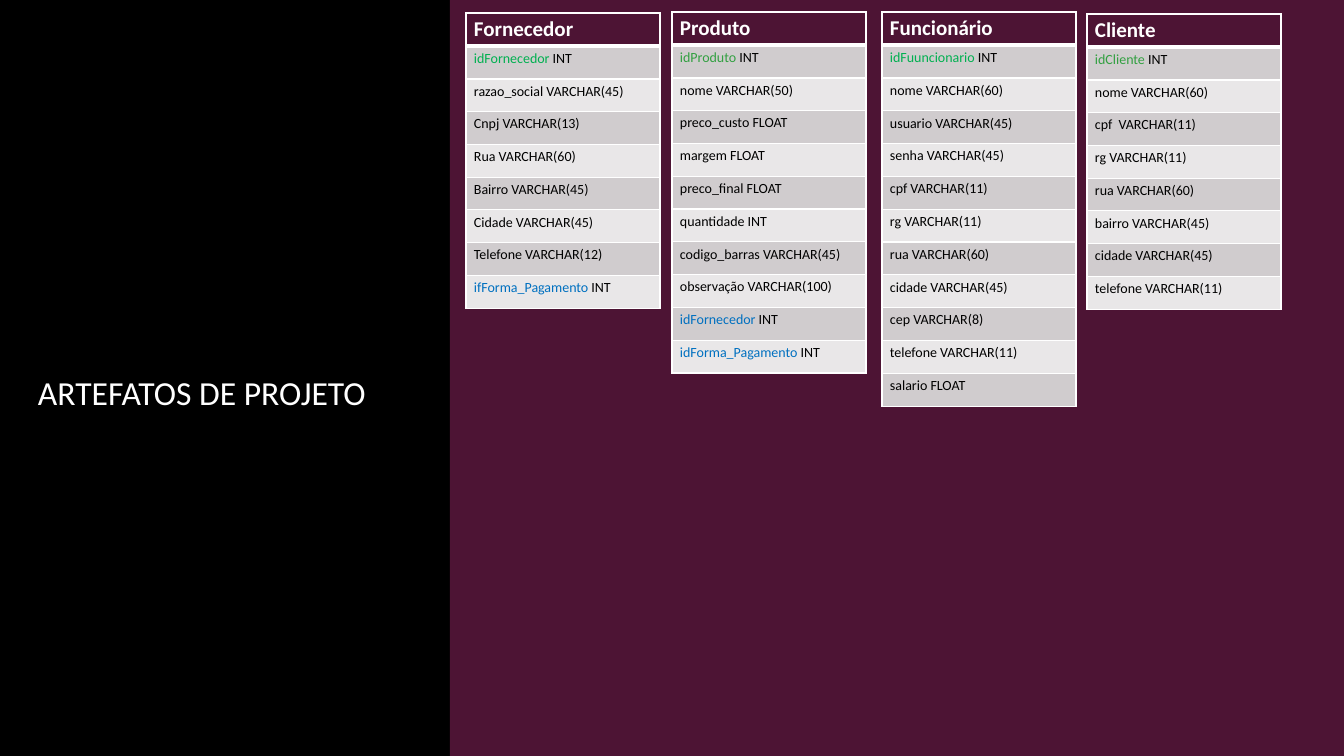
from lxml.etree import SubElement
from pptx import Presentation
from pptx.dml.color import RGBColor
from pptx.enum.shapes import MSO_SHAPE as Preset
from pptx.enum.text import MSO_ANCHOR as Anchor
from pptx.oxml.ns import qn
from pptx.util import Pt

TITLE = "ARTEFATOS DE PROJETO"
FONT = "Calibri"
COLORS = {
    "side": "000000",
    "main": "4D1434",
    "white": "FFFFFF",
    "text": "000000",
    "dark_band": "D0CCCE",
    "light_band": "E9E7E8",
    "green": "00B050",
    "olive": "32A041",
    "foreign": "0070C0",
}
PANELS = [("side", 0, 450), ("main", 450, 894)]
FOREIGN_KEYS = {"idFornecedor", "idForma_Pagamento", "ifForma_Pagamento"}
ENTITIES = [
    ("Produto", (672, 12, 361), "olive", [
        "idProduto INT", "nome VARCHAR(50)", "preco_custo FLOAT", "margem FLOAT",
        "preco_final FLOAT", "quantidade INT", "codigo_barras VARCHAR(45)",
        "observação VARCHAR(100)", "idFornecedor INT", "idForma_Pagamento INT",
    ]),
    ("Cliente", (1087, 14, 295), "olive", [
        "idCliente INT", "nome VARCHAR(60)", "cpf  VARCHAR(11)", "rg VARCHAR(11)",
        "rua VARCHAR(60)", "bairro VARCHAR(45)", "cidade VARCHAR(45)",
        "telefone VARCHAR(11)",
    ]),
    ("Fornecedor", (466, 13, 295), "green", [
        "idFornecedor INT", "razao_social VARCHAR(45)", "Cnpj VARCHAR(13)",
        "Rua VARCHAR(60)", "Bairro VARCHAR(45)", "Cidade VARCHAR(45)",
        "Telefone VARCHAR(12)", "ifForma_Pagamento INT",
    ]),
    ("Funcionário", (882, 12, 394), "green", [
        "idFuuncionario INT", "nome VARCHAR(60)", "usuario VARCHAR(45)",
        "senha VARCHAR(45)", "cpf VARCHAR(11)", "rg VARCHAR(11)",
        "rua VARCHAR(60)", "cidade VARCHAR(45)", "cep VARCHAR(8)",
        "telefone VARCHAR(11)", "salario FLOAT",
    ]),
]
SLIDE_WIDTH, SLIDE_HEIGHT = 1344, 756
TABLE_WIDTH = 194


def px(value):
    return round(value * 914400 / 100.8)


def rgb(name):
    return RGBColor.from_string(COLORS[name])


def add_panel(slide, color, left, width):
    panel = slide.shapes.add_shape(
        Preset.RECTANGLE, px(left), 0, px(width), px(SLIDE_HEIGHT))
    panel.shadow.inherit = False
    panel.fill.solid()
    panel.fill.fore_color.rgb = rgb(color)
    panel.line.fill.background()


def add_title(slide):
    frame = slide.shapes.add_textbox(px(28), px(330), px(394), px(87)).text_frame
    frame.word_wrap = True
    frame.vertical_anchor = Anchor.BOTTOM
    frame.text = TITLE
    style(frame.paragraphs[0], 24, "white")


def style(paragraph, size, color, bold=False):
    font = paragraph.font
    font.name, font.size, font.bold = FONT, Pt(size), bold
    font.color.rgb = rgb(color)


def format_cell(cell, fill, top, bottom):
    cell.margin_left = cell.margin_right = px(8)
    cell.margin_top = cell.margin_bottom = px(4)
    properties = cell._tc.get_or_add_tcPr()
    for side, points in (("L", 1), ("R", 1), ("T", top), ("B", bottom)):
        border = SubElement(properties, qn(f"a:ln{side}"), w=str(Pt(points)))
        solid = SubElement(border, qn("a:solidFill"))
        SubElement(solid, qn("a:srgbClr"), val=COLORS["white"])
    cell.fill.solid()
    cell.fill.fore_color.rgb = rgb(fill)


def add_entity(slide, name, place, key_color, fields):
    left, top, height = place
    table = slide.shapes.add_table(
        len(fields) + 1, 1, px(left), px(top), px(TABLE_WIDTH), px(height)).table
    table.first_row = table.horz_banding = False

    header = table.cell(0, 0)
    format_cell(header, "main", 1, 3)
    header.text = name
    style(header.text_frame.paragraphs[0], 15, "white", True)

    for row, field in enumerate(fields, 1):
        cell = table.cell(row, 0)
        format_cell(cell, "dark_band" if row % 2 else "light_band", 3 if row == 1 else 1, 1)
        paragraph = cell.text_frame.paragraphs[0]
        style(paragraph, 10, "text")
        column, gap, kind = field.partition(" ")
        if row == 1 or column in FOREIGN_KEYS:
            key = paragraph.add_run()
            key.text = column
            key.font.color.rgb = rgb(key_color if row == 1 else "foreign")
            paragraph.add_run().text = gap + kind
        else:
            paragraph.add_run().text = field


def main():
    presentation = Presentation()
    presentation.slide_width = px(SLIDE_WIDTH)
    presentation.slide_height = px(SLIDE_HEIGHT)
    slide = presentation.slides.add_slide(presentation.slide_layouts[6])
    for panel in PANELS:
        add_panel(slide, *panel)
    add_title(slide)
    for entity in ENTITIES:
        add_entity(slide, *entity)
    presentation.save("out.pptx")


if __name__ == "__main__":
    main()
